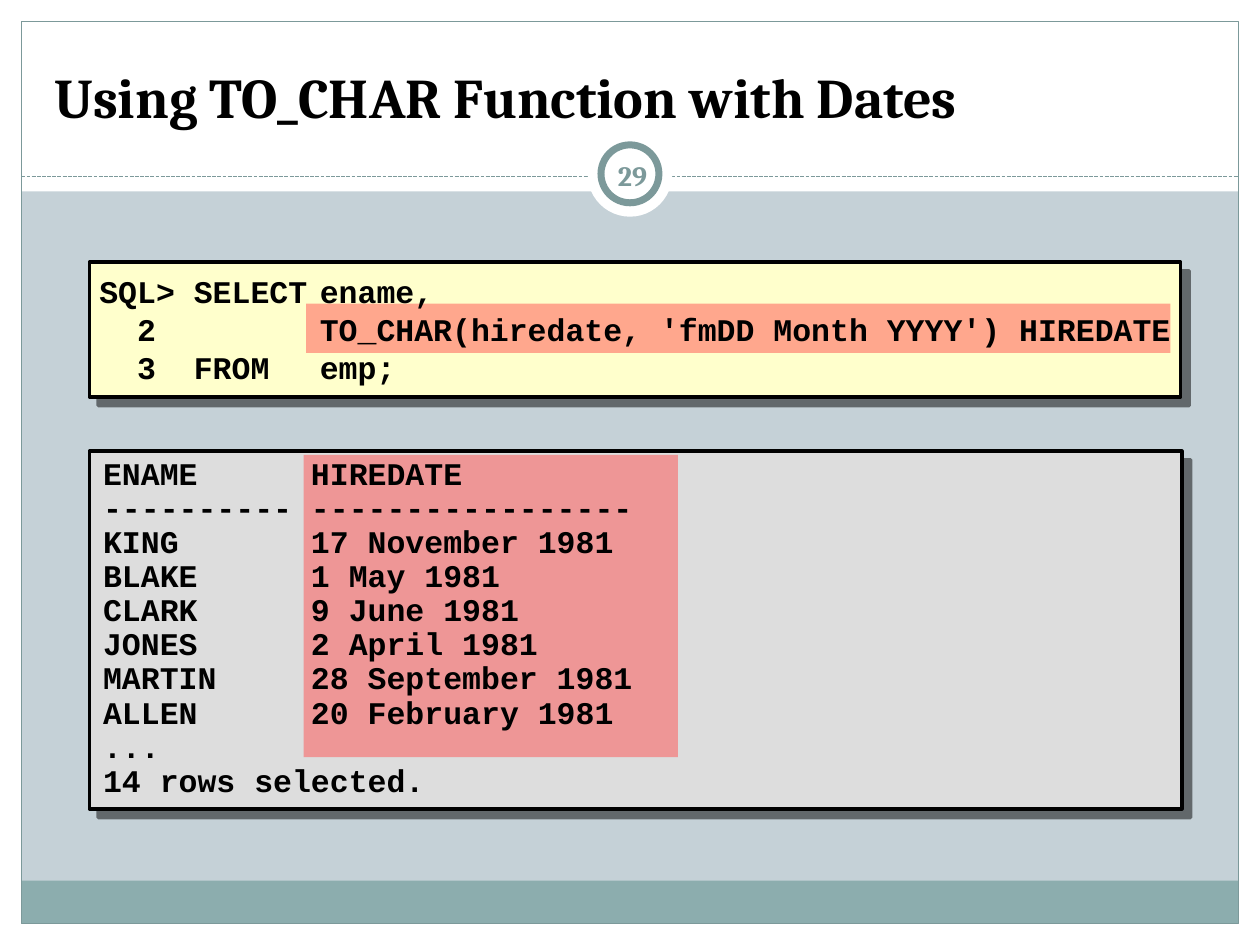
from dataclasses import dataclass

from lxml import etree
from pptx import Presentation
from pptx.dml.color import RGBColor
from pptx.enum.dml import MSO_LINE
from pptx.enum.shapes import MSO_CONNECTOR, MSO_SHAPE
from pptx.enum.text import MSO_ANCHOR, MSO_AUTO_SIZE, PP_ALIGN
from pptx.oxml.ns import qn
from pptx.util import Inches, Pt

RECT, OVAL = MSO_SHAPE.RECTANGLE, MSO_SHAPE.OVAL
STRAIGHT, DASH = MSO_CONNECTOR.STRAIGHT, MSO_LINE.SQUARE_DOT
TOP, MIDDLE, BOTTOM = MSO_ANCHOR.TOP, MSO_ANCHOR.MIDDLE, MSO_ANCHOR.BOTTOM
LEFT, CENTER = PP_ALIGN.LEFT, PP_ALIGN.CENTER
NO_FIT = MSO_AUTO_SIZE.NONE
TITLE_ONLY = 5
COLUMNS, ROWS = 100, 75


@dataclass(frozen=True)
class Theme:
    backdrop: str = "C5D1D7"
    paper: str = "FFFFFF"
    band: str = "8CADAE"
    accent: str = "7C999A"
    ink: str = "000000"
    query: str = "FFFFCC"
    result: str = "DDDDDD"
    highlight: str = "FF5050"
    heading_font: str = "Cambria"
    code_font: str = "Courier New"
    title_size: int = 32
    number_size: int = 16
    code_size: int = 18


class SlideBuilder:
    def __init__(self, deck, theme):
        self.deck, self.theme = deck, theme
        self.page = deck.slides.add_slide(deck.slide_layouts[TITLE_ONLY])
        backdrop = self.page.background.fill
        backdrop.solid()
        backdrop.fore_color.rgb = RGBColor.from_string(theme.backdrop)

    def place(self, columns, rows):
        return (int(self.deck.slide_width * columns / COLUMNS),
                int(self.deck.slide_height * rows / ROWS))

    def area(self, left, top, width, height):
        return *self.place(left, top), *self.place(width, height)

    def shape(self, area, fill=None, line=None, weight=0.75, kind=RECT):
        shape = self.page.shapes.add_shape(kind, *self.area(*area))
        shape.shadow.inherit = False
        if fill:
            shape.fill.solid()
            shape.fill.fore_color.rgb = RGBColor.from_string(fill)
        else:
            shape.fill.background()
        if line:
            shape.line.color.rgb = RGBColor.from_string(line)
            shape.line.width = Pt(weight)
        else:
            shape.line.fill.background()
        return shape

    def set_alpha(self, color, percent):
        etree.SubElement(color, qn("a:alpha"), val=str(percent * 1000))

    def panel(self, area, fill):
        panel = self.shape(area, fill, self.theme.ink, 2)
        effects = panel.element.spPr.find(qn("a:effectLst"))
        shadow = etree.SubElement(effects, qn("a:outerShdw"), dist=str(Pt(7.1)),
                                  dir="2700000", algn="ctr", rotWithShape="0")
        color = etree.SubElement(shadow, qn("a:srgbClr"), val=self.theme.ink)
        self.set_alpha(color, 50)

    def highlight(self, area):
        shape = self.shape(area, self.theme.highlight)
        self.set_alpha(shape.element.spPr.find(qn("a:solidFill"))[0], 50)

    def dashed_line(self, start, end):
        line = self.page.shapes.add_connector(
            STRAIGHT, *self.place(*start), *self.place(*end))
        line.line.color.rgb = RGBColor.from_string(self.theme.accent)
        line.line.width = Pt(0.75)
        line.line.dash_style = DASH
        etree.SubElement(line.element.spPr, qn("a:effectLst"))

    def format_para(self, para, font, size, color, align=LEFT):
        para.alignment = align
        para.font.name = font
        para.font.size = Pt(size)
        para.font.bold = True
        para.font.color.rgb = RGBColor.from_string(color)

    def title(self, area, text):
        title = self.page.shapes.title
        title.left, title.top, title.width, title.height = self.area(*area)
        frame = title.text_frame
        frame.text = text
        frame.vertical_anchor = BOTTOM
        frame.auto_size = NO_FIT
        self.format_para(frame.paragraphs[0], self.theme.heading_font,
                         self.theme.title_size, self.theme.ink)
        title.element.getparent().append(title.element)

    def text_frame(self, area, anchor):
        frame = self.page.shapes.add_textbox(*self.area(*area)).text_frame
        frame.word_wrap = True
        frame.vertical_anchor = anchor
        return frame

    def page_number(self, area, text):
        frame = self.text_frame(area, MIDDLE)
        frame.margin_left = frame.margin_right = Inches(0.05)
        frame.text = text
        self.format_para(frame.paragraphs[0], self.theme.heading_font,
                         self.theme.number_size, self.theme.accent, CENTER)

    def code(self, area, lines, tab, anchor=TOP, spacing=1.0):
        frame = self.text_frame(area, anchor)
        frame.text = "\n".join(lines)
        for para in frame.paragraphs:
            tabs = etree.SubElement(para._p.get_or_add_pPr(), qn("a:tabLst"))
            etree.SubElement(tabs, qn("a:tab"), pos=str(Inches(tab)), algn="l")
            para.line_spacing = spacing
            self.format_para(para, self.theme.code_font,
                             self.theme.code_size, self.theme.ink)


QUERY = [
    "SQL> SELECT\tename, \t",
    "  2    \tTO_CHAR(hiredate, 'fmDD Month YYYY') HIREDATE",
    "  3  FROM  \temp;",
]
HIRES = [
    ("ENAME", "HIREDATE"),
    ("-" * 10, "-" * 17),
    ("KING", "17 November 1981"),
    ("BLAKE", "1 May 1981"),
    ("CLARK", "9 June 1981"),
    ("JONES", "2 April 1981"),
    ("MARTIN", "28 September 1981"),
    ("ALLEN", "20 February 1981"),
]


def main():
    deck = Presentation()
    deck.slide_width, deck.slide_height = Inches(10), Inches(7.5)
    theme = Theme()
    slide = SlideBuilder(deck, theme)

    margin = 1.7
    inner_width, inner_height = COLUMNS - 2 * margin, ROWS - 2 * margin
    for strip in [(0, ROWS - margin, COLUMNS, margin), (0, 0, COLUMNS, 15.2),
                  (0, 0, margin, ROWS), (COLUMNS - margin, 0, margin, ROWS)]:
        slide.shape(strip, theme.paper)
    slide.shape((margin, 69.9, inner_width, 3.4), theme.band)
    slide.shape((margin, margin, inner_width, inner_height), line=theme.accent)
    slide.dashed_line((margin, 14), (COLUMNS - margin, 14))
    slide.shape((46.65, 10.5, 6.7, 6.7), theme.paper, kind=OVAL)
    slide.shape((47.7, 11.5, 4.6, 4.6), theme.paper, theme.accent, 4, OVAL)

    slide.title((3.3, 2.5, 93.3, 8.3), "Using TO_CHAR Function with Dates")
    slide.page_number((47.7, 11.5, 5, 4.8), "29")

    slide.panel((7.1, 20.8, 86.6, 10.7), theme.query)
    slide.panel((7.1, 35.8, 86.7, 28.4), theme.result)
    slide.highlight((24.3, 24.1, 68.6, 3.9))
    slide.highlight((24.1, 36.1, 29.7, 24))

    slide.code((6.9, 18.7, 88, 14.8), QUERY, 1.75, MIDDLE)
    output = [f"{name:<10} {date}" for name, date in HIRES]
    slide.code((7.2, 35.9, 79.4, 28.1), output + ["...", "14 rows selected."],
               1.31, spacing=0.9)
    deck.save("out.pptx")


if __name__ == "__main__":
    main()
